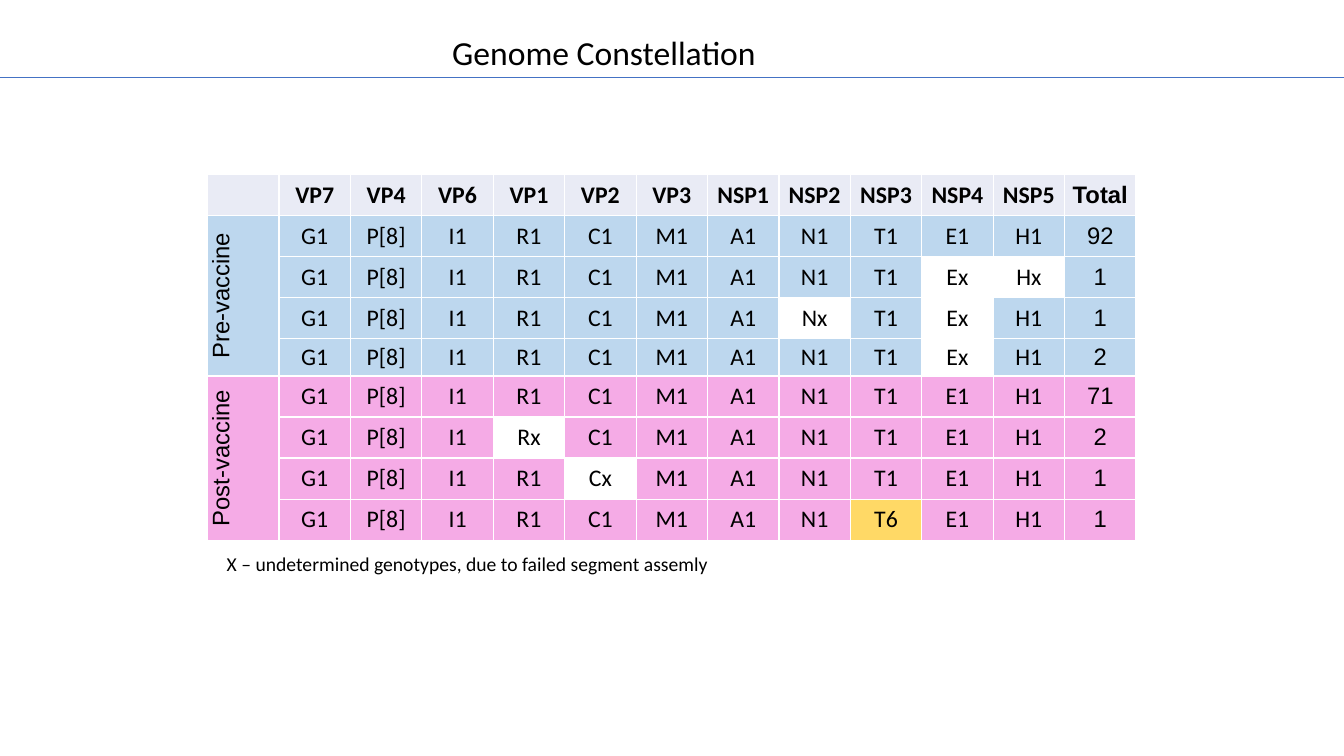
import pptx
import pptx.dml.color
import pptx.enum.shapes
import pptx.enum.text
import pptx.util
import lxml.etree

ALIGN = pptx.enum.text.PP_ALIGN
ANCHOR = pptx.enum.text.MSO_ANCHOR
AUTO_SIZE = pptx.enum.text.MSO_AUTO_SIZE

SEGMENTS = ["VP7", "VP4", "VP6", "VP1", "VP2", "VP3",
            "NSP1", "NSP2", "NSP3", "NSP4", "NSP5"]
USUAL = dict(zip(SEGMENTS, "G1 P[8] I1 R1 C1 M1 A1 N1 T1 E1 H1".split()))
PERIODS = [
    ("Pre-vaccine", "BDD7EE", [
        (92, {}),
        (1, {"NSP4": "Ex", "NSP5": "Hx"}),
        (1, {"NSP2": "Nx", "NSP4": "Ex"}),
        (2, {"NSP4": "Ex"}),
    ]),
    ("Post-vaccine", "F5ABE6", [
        (71, {}),
        (2, {"VP1": "Rx"}),
        (1, {"VP2": "Cx"}),
        (1, {"NSP3": "T6"}),
    ]),
]
HEADER_FILL = "E9EBF5"
UNDETERMINED_FILL = "FFFFFF"
VARIANT_FILL = "FFD966"
ROW_HEIGHTS = [5.43] * 4 + [4.96] + [5.43] * 4


def color(value):
    return pptx.dml.color.RGBColor.from_string(value)


class ConstellationSlide:
    ink = "000000"
    rule = "4472C4"
    border = "FFFFFF"
    body_font = "Calibri"
    total_font = "Arial"

    def __init__(self, deck):
        self.width, self.height = deck.slide_width, deck.slide_height
        self.slide = deck.slides.add_slide(deck.slide_layouts[5])
        self.shapes = self.slide.shapes

    def x(self, percent):
        return round(self.width * percent / 100)

    def y(self, percent):
        return round(self.height * percent / 100)

    def box(self, left, top, width, height):
        return self.x(left), self.y(top), self.x(width), self.y(height)

    def label(self, paragraph, words, size, align, font=body_font, bold=False):
        paragraph.text = words
        paragraph.alignment = align
        paragraph.font.name = font
        paragraph.font.size = pptx.util.Pt(size)
        paragraph.font.bold = bold
        paragraph.font.color.rgb = color(self.ink)

    def title(self, words, *place):
        heading = self.shapes.title
        heading.left, heading.top, heading.width, heading.height = self.box(*place)
        frame = heading.text_frame
        frame.word_wrap = True
        frame.auto_size = AUTO_SIZE.NONE
        frame.vertical_anchor = ANCHOR.MIDDLE
        self.label(frame.paragraphs[0], words, 24, ALIGN.CENTER)
        frame.paragraphs[0].line_spacing = 0.9

    def divider(self, top):
        line = self.shapes.add_connector(
            pptx.enum.shapes.MSO_CONNECTOR.STRAIGHT,
            0, self.y(top), self.width, self.y(top))
        line.line.color.rgb = color(self.rule)
        line.line.width = pptx.util.Pt(0.5)
        lxml.etree.SubElement(line._element.spPr, pptx.oxml.ns.qn("a:effectLst"))

    def footnote(self, words, *place):
        frame = self.shapes.add_textbox(*self.box(*place)).text_frame
        frame.word_wrap = False
        frame.auto_size = AUTO_SIZE.SHAPE_TO_FIT_TEXT
        self.label(frame.paragraphs[0], words, 14, ALIGN.LEFT)

    def grid(self, row_heights, columns, left, top, width):
        table = self.shapes.add_table(
            len(row_heights), columns,
            *self.box(left, top, width, sum(row_heights))).table
        table.first_row = False
        table.horz_banding = False
        for column in table.columns:
            column.width = self.x(width / columns)
        for row, height in zip(table.rows, row_heights):
            row.height = self.y(height)
        return table

    def cell(self, cell, words, fill, font=body_font, bold=False):
        cell.margin_left = cell.margin_right = 0
        cell.margin_top = cell.margin_bottom = 0
        cell.vertical_anchor = ANCHOR.MIDDLE
        qn = pptx.oxml.ns.qn
        properties = cell._tc.get_or_add_tcPr()
        for side in "LRTB":
            edge = lxml.etree.SubElement(properties, qn(f"a:ln{side}"), w="12700")
            paint = lxml.etree.SubElement(edge, qn("a:solidFill"))
            lxml.etree.SubElement(paint, qn("a:srgbClr"), val=self.border)
        cell.fill.solid()
        cell.fill.fore_color.rgb = color(fill)
        self.label(cell.text_frame.paragraphs[0], words, 17, ALIGN.CENTER, font, bold)

    def period(self, table, first, last, name, fill):
        for row in range(first, last + 1):
            words = name if row == first else ""
            self.cell(table.cell(row, 0), words, fill, self.total_font)
        table.cell(first, 0).merge(table.cell(last, 0))
        table.cell(first, 0)._tc.get_or_add_tcPr().set("vert", "vert270")

    def constellations(self, *place):
        headings = ["", *SEGMENTS, "Total"]
        total_column = len(headings) - 1
        table = self.grid(ROW_HEIGHTS, len(headings), *place)
        for column, heading in enumerate(headings):
            font = self.total_font if column == total_column else self.body_font
            self.cell(table.cell(0, column), heading, HEADER_FILL, font, True)
        row = 1
        for name, period_fill, strains in PERIODS:
            self.period(table, row, row + len(strains) - 1, name, period_fill)
            for total, changes in strains:
                for column, segment in enumerate(SEGMENTS, 1):
                    genotype = changes.get(segment, USUAL[segment])
                    fill = period_fill
                    if segment in changes:
                        undetermined = genotype.endswith("x")
                        fill = UNDETERMINED_FILL if undetermined else VARIANT_FILL
                    self.cell(table.cell(row, column), genotype, fill)
                self.cell(table.cell(row, total_column), str(total),
                          period_fill, self.total_font)
                row += 1


def main():
    deck = pptx.Presentation()
    deck.slide_width = pptx.util.Inches(13.33)
    deck.slide_height = pptx.util.Inches(7.5)
    page = ConstellationSlide(deck)
    page.constellations(15.45, 23.07, 69.09)
    page.title("Genome Constellation", 30.76, 3.07, 28.36, 8.4)
    page.divider(10.27)
    page.footnote("X – undetermined genotypes, due to failed segment assemly",
                  16.13, 72.4, 37.66, 4.53)
    deck.save("out.pptx")


if __name__ == "__main__":
    main()
